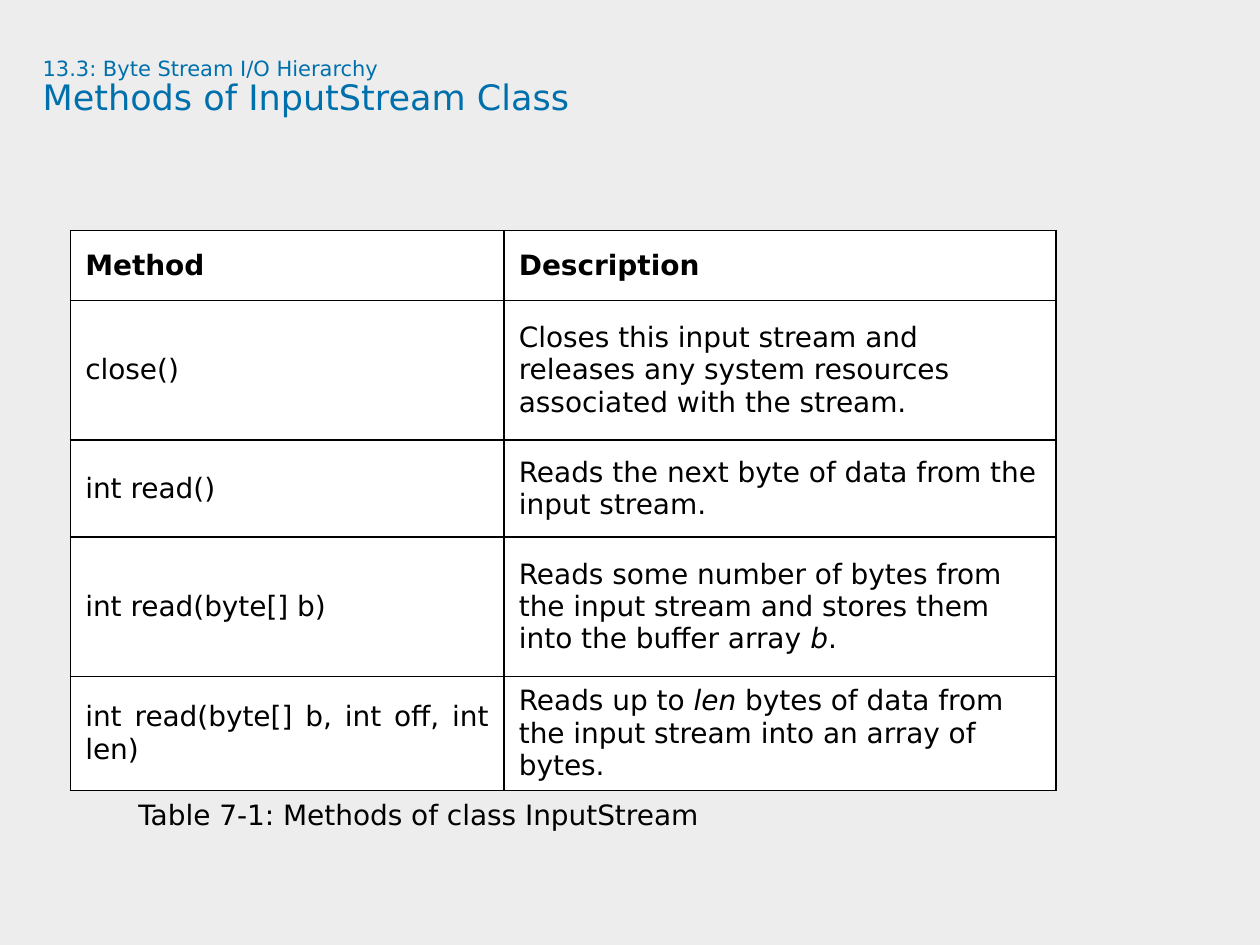
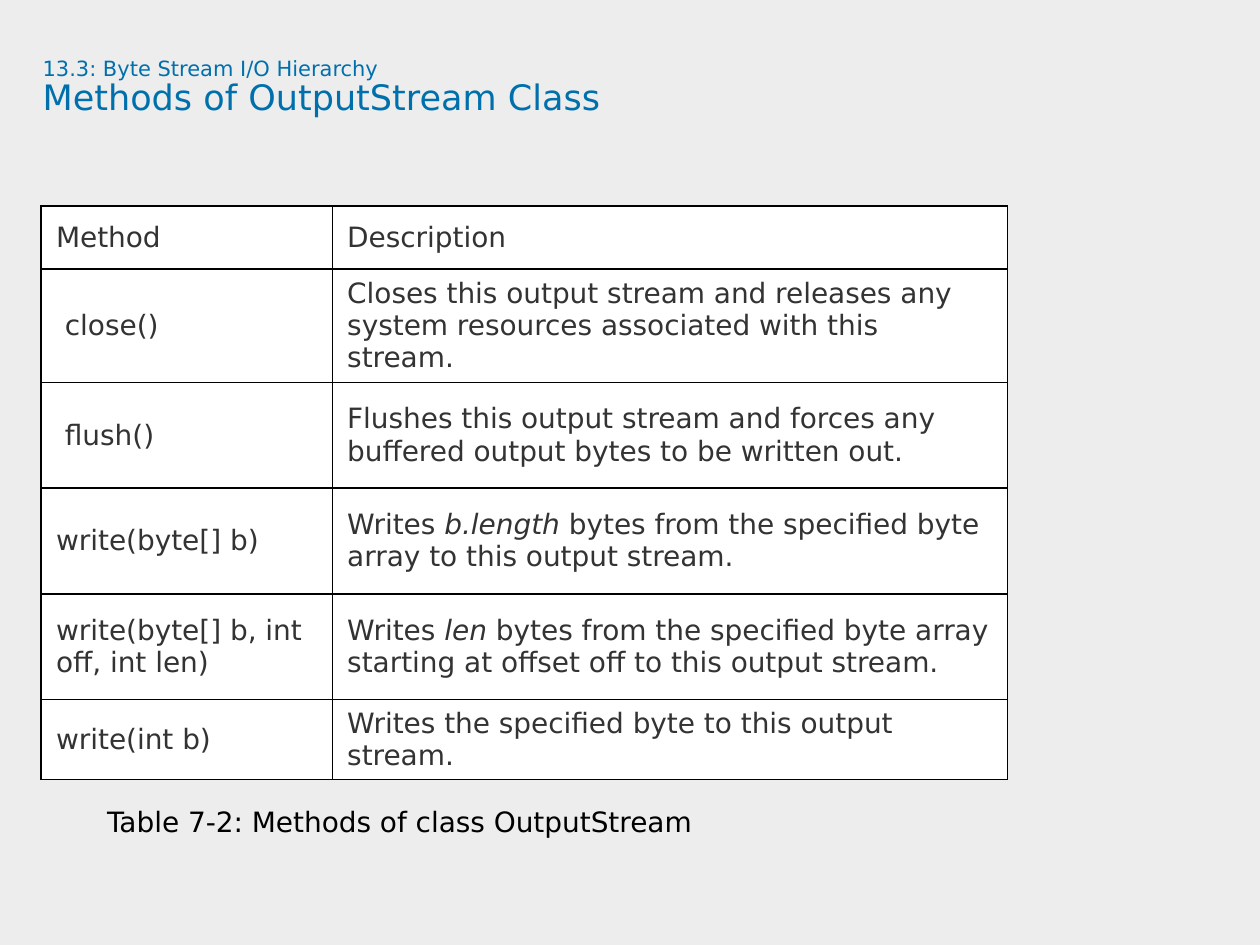
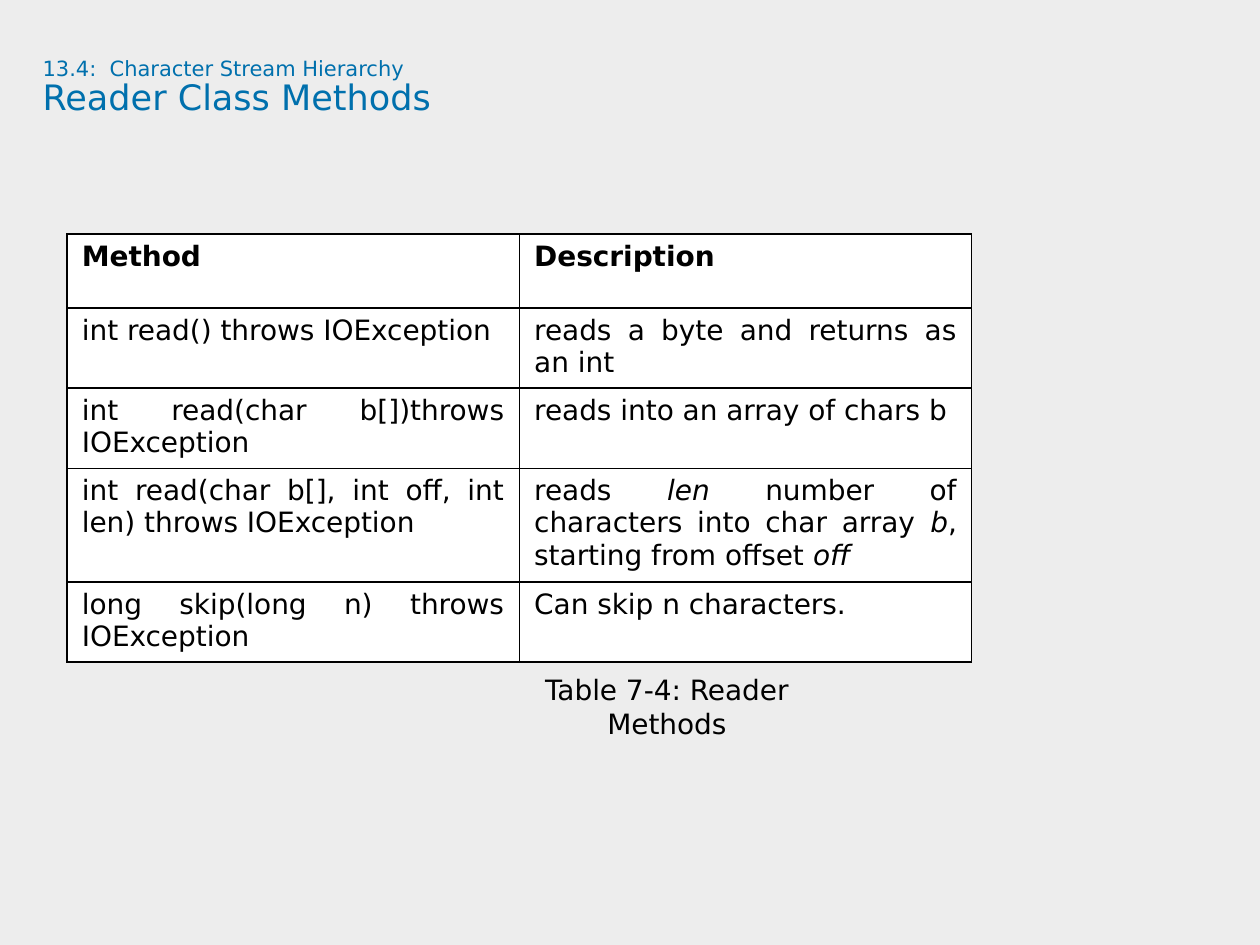
import dataclasses

import lxml.etree
import pptx
import pptx.dml.color
import pptx.enum.text
import pptx.oxml.ns
import pptx.slide
import pptx.table
import pptx.text.text
import pptx.util

Cm = pptx.util.Cm
Pt = pptx.util.Pt
LEFT = pptx.enum.text.PP_ALIGN.LEFT
CENTER = pptx.enum.text.PP_ALIGN.CENTER
JUSTIFY = pptx.enum.text.PP_ALIGN.JUSTIFY
TOP = pptx.enum.text.MSO_ANCHOR.TOP
MIDDLE = pptx.enum.text.MSO_ANCHOR.MIDDLE

FONT = "DejaVu Sans"
BODY_SIZE = 16
COLORS = {
    "background": "EDEDED",
    "title": "0070AD",
    "black": "000000",
    "gray": "333333",
    "cell": "FFFFFF",
}


@dataclasses.dataclass
class Caption:
    text: str
    box: tuple[float, float, float, float]  # left, top, width, height in cm
    align: pptx.enum.text.PP_ALIGN = LEFT


@dataclasses.dataclass
class MethodTable:
    left: float
    top: float
    columns: list[float]
    rows: list[float]
    methods: list[tuple[str, str]]  # text between asterisks is italic
    aligns: tuple[pptx.enum.text.PP_ALIGN, pptx.enum.text.PP_ALIGN]
    anchor: pptx.enum.text.MSO_ANCHOR = MIDDLE
    color: str = "black"
    bold_header: bool = True


@dataclasses.dataclass
class MethodSlide:
    section: str
    title: str
    table: MethodTable
    caption: Caption


SLIDES = [
    MethodSlide(
        "13.3: Byte Stream I/O Hierarchy",
        "Methods of InputStream Class",
        MethodTable(
            1.42, 4.65, [8.74, 11.13], [1.41, 2.81, 1.96, 2.81, 2.22],
            [
                ("close()", "Closes this input stream and releases any system resources "
                            "associated with the stream."),
                ("int read()", "Reads the next byte of data from the input stream."),
                ("int read(byte[] b)", "Reads some number of bytes from the input stream "
                                       "and stores them into the buffer array *b*."),
                ("int read(byte[] b, int off, int len)",
                 "Reads up to *len* bytes of data from the input stream into an array "
                 "of bytes."),
            ],
            (JUSTIFY, LEFT),
        ),
        Caption("Table 7‑1: Methods of class InputStream", (2.54, 15.95, 19.28, 1)),
    ),
    MethodSlide(
        "13.3: Byte Stream I/O Hierarchy",
        "Methods of OutputStream Class",
        MethodTable(
            0.83, 4.15, [5.87, 13.61], [1.27, 2.2, 2.13, 2.13, 2.13, 1.55],
            [
                (" close()", "Closes this output stream and releases any system resources "
                             "associated with this stream."),
                (" flush()", "Flushes this output stream and forces any buffered output "
                             "bytes to be written out."),
                ("write(byte[] b)", "Writes *b.length* bytes from the specified byte array "
                                    "to this output stream."),
                ("write(byte[] b, int off, int len)",
                 "Writes *len* bytes from the specified byte array starting at offset off "
                 "to this output stream."),
                ("write(int b)", "Writes the specified byte to this output stream."),
            ],
            (LEFT, LEFT), color="gray", bold_header=False,
        ),
        Caption("Table 7‑2: Methods of class OutputStream", (1.91, 16.1, 19.48, 1)),
    ),
    MethodSlide(
        "13.4:  Character Stream Hierarchy",
        "Reader Class Methods",
        MethodTable(
            1.35, 4.72, [9.12, 9.12], [1.49, 1.57, 1.57, 2.2, 1.57],
            [
                ("int read() throws IOException", "reads a byte and returns as an int"),
                ("int read(char b[])throws IOException", "reads into an array of chars b"),
                ("int read(char b[], int off, int len) throws IOException",
                 "reads *len* number of characters into char array *b*, "
                 "starting from offset *off*"),
                ("long skip(long n) throws IOException", "Can skip n characters."),
            ],
            (JUSTIFY, JUSTIFY), anchor=TOP,
        ),
        Caption("Table 7‑4: Reader Methods", (9.75, 13.44, 7.39, 1.57), CENTER),
    ),
]


def rgb(name: str) -> pptx.dml.color.RGBColor:
    return pptx.dml.color.RGBColor.from_string(COLORS[name])


def format_runs(paragraph: pptx.text.text._Paragraph, size: float, color: str,
                bold: bool = False) -> None:
    for run in paragraph.runs:
        run.font.name = FONT
        run.font.size = Pt(size)
        run.font.bold = bold
        run.font.color.rgb = rgb(color)


def add_title(slide: pptx.slide.Slide, section: str, title: str) -> None:
    heading = slide.shapes.add_textbox(Cm(0.86), Cm(1.17), Cm(23.09), Cm(2.39)).text_frame
    heading.word_wrap = True
    heading.margin_left = heading.margin_right = 0
    heading.margin_top = heading.margin_bottom = 0
    heading.text = f"{section}\n{title}"
    for paragraph, size in zip(heading.paragraphs, (12, 20)):
        paragraph.line_spacing = 0.9
        format_runs(paragraph, size, "title")


def add_caption(slide: pptx.slide.Slide, caption: Caption) -> None:
    frame = slide.shapes.add_textbox(*map(Cm, caption.box)).text_frame
    frame.word_wrap = True
    frame.text = caption.text
    frame.paragraphs[0].alignment = caption.align
    format_runs(frame.paragraphs[0], BODY_SIZE, "black")


def add_borders(cell: pptx.table._Cell) -> None:
    properties = cell._tc.get_or_add_tcPr()
    for side in "LRTB":
        line = lxml.etree.SubElement(
            properties, pptx.oxml.ns.qn(f"a:ln{side}"), w=str(Pt(1)))
        fill = lxml.etree.SubElement(line, pptx.oxml.ns.qn("a:solidFill"))
        lxml.etree.SubElement(fill, pptx.oxml.ns.qn("a:srgbClr"), val=COLORS["black"])


def fill_cell(cell: pptx.table._Cell, text: str, table: MethodTable,
              align: pptx.enum.text.PP_ALIGN, bold: bool) -> None:
    add_borders(cell)
    cell.fill.solid()
    cell.fill.fore_color.rgb = rgb("cell")
    cell.margin_left = cell.margin_right = Cm(0.3)
    cell.margin_top = cell.margin_bottom = Cm(0.13)
    cell.vertical_anchor = table.anchor
    paragraph = cell.text_frame.paragraphs[0]
    paragraph.alignment = align
    for index, part in enumerate(text.split("*")):
        if part:
            run = paragraph.add_run()
            run.text = part
            run.font.italic = index % 2 == 1
    format_runs(paragraph, BODY_SIZE, table.color, bold)


def add_method_table(slide: pptx.slide.Slide, table: MethodTable) -> None:
    grid = slide.shapes.add_table(
        len(table.rows), len(table.columns), Cm(table.left), Cm(table.top),
        Cm(sum(table.columns)), Cm(sum(table.rows))).table
    grid.first_row = grid.horz_banding = False
    for column, width in zip(grid.columns, table.columns):
        column.width = Cm(width)
    entries = [("Method", "Description"), *table.methods]
    for index, (row, height, entry) in enumerate(zip(grid.rows, table.rows, entries)):
        row.height = Cm(height)
        for cell, text, align in zip(row.cells, entry, table.aligns):
            fill_cell(cell, text, table, align, table.bold_header and index == 0)


def main() -> None:
    deck = pptx.Presentation()
    deck.slide_width, deck.slide_height = Cm(25.4), Cm(19.05)
    background = deck.slide_master.background.fill
    background.solid()
    background.fore_color.rgb = rgb("background")
    for content in SLIDES:
        slide = deck.slides.add_slide(deck.slide_layouts[6])
        add_title(slide, content.section, content.title)
        add_method_table(slide, content.table)
        add_caption(slide, content.caption)
    deck.save("out.pptx")


if __name__ == "__main__":
    main()
